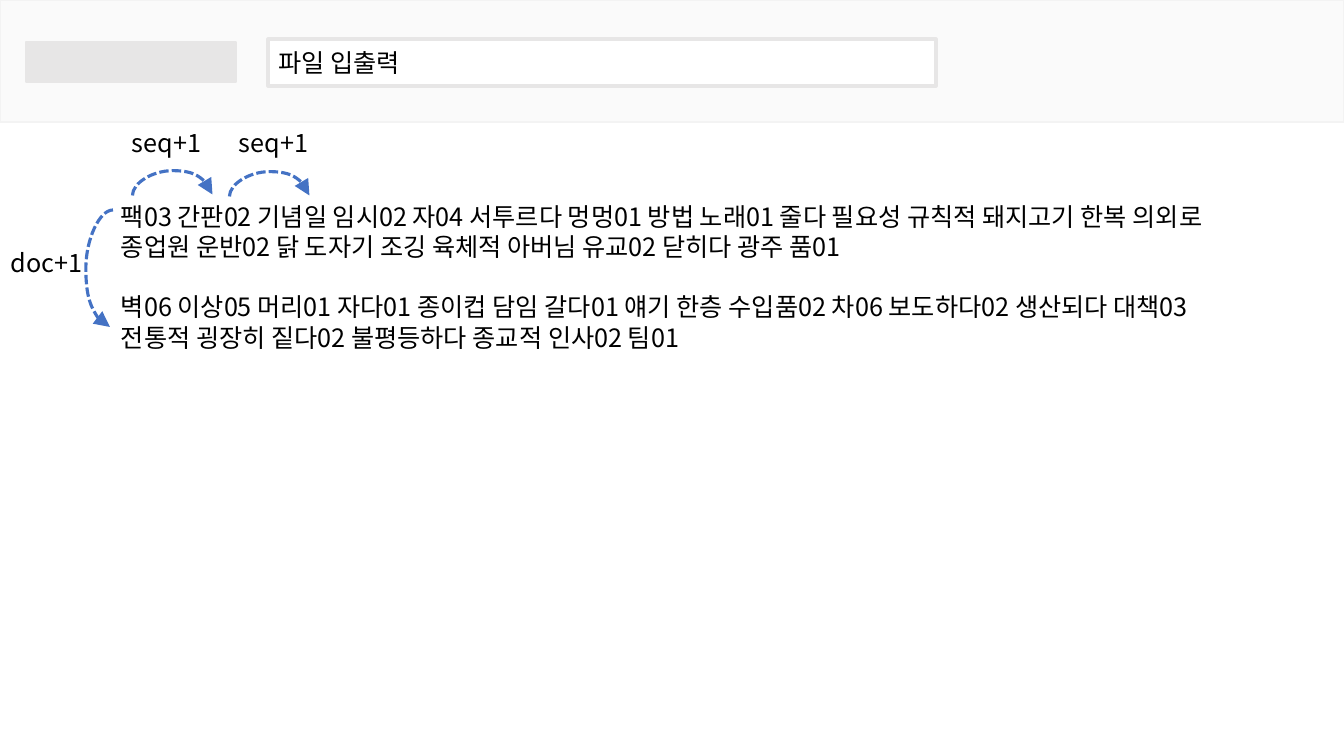
from lxml import etree
from pptx import Presentation
from pptx.dml.color import RGBColor
from pptx.enum.dml import MSO_LINE
from pptx.enum.shapes import MSO_CONNECTOR, MSO_SHAPE
from pptx.enum.text import MSO_ANCHOR, MSO_AUTO_SIZE, PP_ALIGN
from pptx.oxml.ns import qn
from pptx.util import Emu, Pt

CURVE, RECT, DASH = MSO_CONNECTOR.CURVE, MSO_SHAPE.RECTANGLE, MSO_LINE.SQUARE_DOT
LEFT, CENTER = PP_ALIGN.LEFT, PP_ALIGN.CENTER
TOP, MIDDLE = MSO_ANCHOR.TOP, MSO_ANCHOR.MIDDLE
FIT, FIXED = MSO_AUTO_SIZE.SHAPE_TO_FIT_TEXT, MSO_AUTO_SIZE.NONE

# Content
FONT = "Noto Sans CJK KR"
COLORS = {
    "band": "FAFAFA", "edge": "F3F3F3", "white": "FFFFFF", "frame": "E7E6E6",
    "text": "000000", "arrow": "4472C4",
}
QUERY = "파일 입출력"
DOCS = [
    "팩03 간판02 기념일 임시02 자04 서투르다 멍멍01 방법 노래01 줄다 필요성 규칙적 "
    "돼지고기 한복 의외로 종업원 운반02 닭 도자기 조깅 육체적 아버님 유교02 닫히다 광주 품01",
    "벽06 이상05 머리01 자다01 종이컵 담임 갈다01 얘기 한층 수입품02 차06 보도하다02 "
    "생산되다 대책03 전통적 굉장히 짙다02 불평등하다 종교적 인사02 팀01",
]
LABELS = [("seq+1", 117, 122), ("seq+1", 224, 122), ("doc+1", -3, 242)]
# left, top, width, height, turn in degrees, flips, bulge
ARCS = [
    (172, 155, 1, 80, 90, ("flipH", "flipV"), 25),
    (269, 156, 1, 80, 90, ("flipH", "flipV"), 25),
    (110, 210, 3, 117, 180, ("flipV",), 27),
]

prs = Presentation()


def px(n):
    return Emu(round(n * 914400 / 100.8))


def color(name):
    return RGBColor.from_string(COLORS[name])


def paint(shape, fill, line, width):
    shape.fill.solid()
    shape.fill.fore_color.rgb = color(fill)
    shape.line.color.rgb = color(line)
    shape.line.width = Pt(width)


def block(area, fill, line, width):
    shape = slide.shapes.add_shape(RECT, *map(px, area))
    shape.shadow.inherit = False
    paint(shape, fill, line, width)
    return shape


def write(shape, lines, align=LEFT, anchor=TOP, size=FIT):
    frame = shape.text_frame
    frame.text = "\n".join(lines)
    frame.word_wrap = True
    frame.auto_size = size
    frame.vertical_anchor = anchor
    for para in frame.paragraphs:
        para.alignment = align
        for run in para.runs:
            run.font.size = Pt(18)
            run.font.name = FONT
            run.font.color.rgb = color("text")
            etree.SubElement(run.font._element, qn("a:ea"), typeface=FONT)


def box(*area):
    return slide.shapes.add_textbox(*map(px, area))


prs.slide_width, prs.slide_height = px(1344), px(756)
slide = prs.slides.add_slide(prs.slide_layouts[5])

# Header band with a plain brand block
band = block((0, 0, 1344, 122), "band", "edge", 1)
block((26, 42, 210, 40), "frame", "frame", 1)

# Search field as the title, in front of the band
title = slide.shapes.title
title.left, title.top, title.width, title.height = map(px, (268, 39, 668, 47))
paint(title, "white", "frame", 2.25)
write(title, [QUERY], anchor=MIDDLE, size=FIXED)
band.element.addnext(title.element)

# Documents, one line apart
body = box(111, 196, 1133, 163)
write(body, DOCS)
body.text_frame.paragraphs[1].space_before = Pt(21.6)

# Step labels
for text, left, top in LABELS:
    write(box(left, top, 99, 40), [text], CENTER)

# Dashed arcs
for left, top, wide, high, turn, flips, bulge in ARCS:
    arc = slide.shapes.add_connector(
        CURVE, *map(px, (left, top, left + wide, top + high)))
    arc.line.color.rgb = color("arrow")
    arc.line.width = Pt(2.25)
    arc.line.dash_style = DASH
    props = arc.element.spPr
    frame = props.find(qn("a:xfrm"))
    frame.set("rot", str(turn * 60000))
    for flip in flips:
        frame.set(flip, "1")
    guides = props.find(qn("a:prstGeom")).find(qn("a:avLst"))
    etree.SubElement(guides, qn("a:gd"), name="adj1",
                     fmla=f"val {bulge * 100000 // wide}")
    etree.SubElement(props.find(qn("a:ln")), qn("a:tailEnd"),
                     type="triangle", w="lg", len="lg")
    etree.SubElement(props, qn("a:effectLst"))

prs.save("out.pptx")
